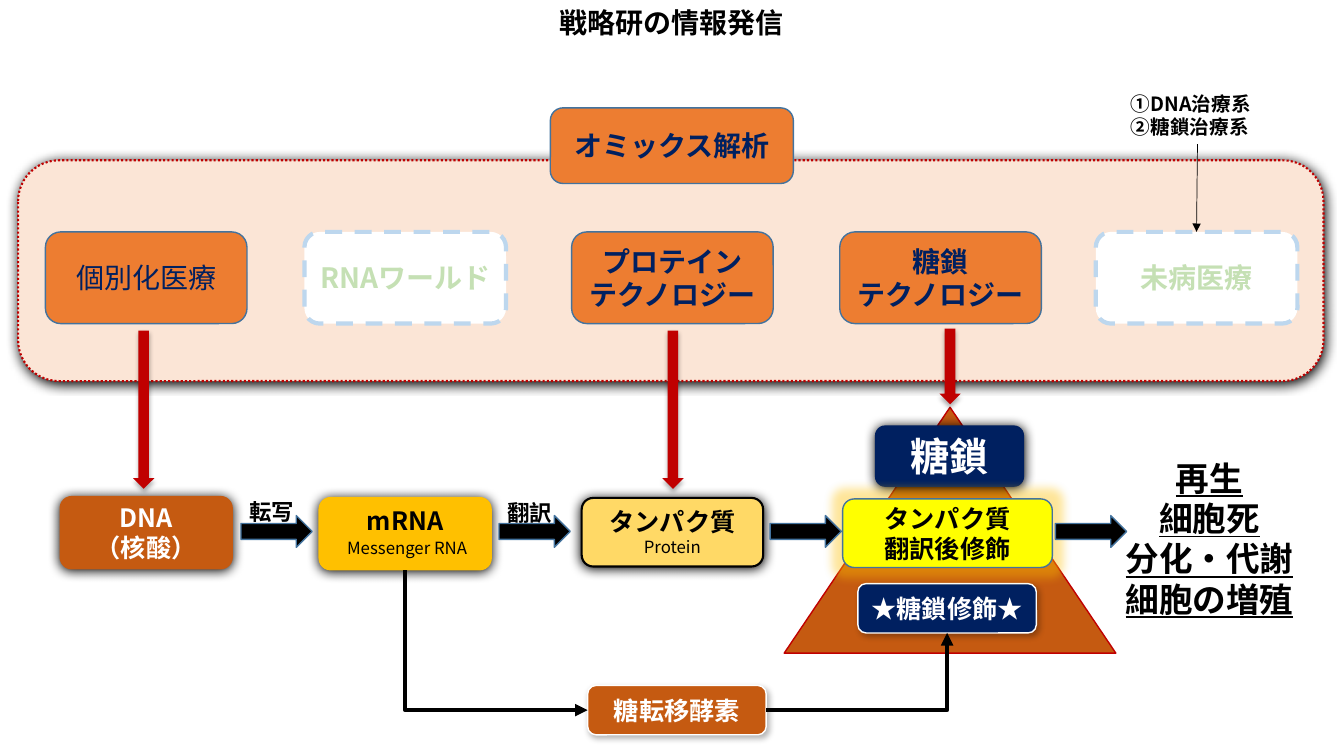
"""Draw the omics diagram that links medical technologies to the path from DNA to glycans."""
from dataclasses import dataclass
from typing import NamedTuple, Optional

from lxml.etree import SubElement
from pptx import Presentation
from pptx.dml.color import RGBColor
from pptx.enum.dml import MSO_LINE as Dash
from pptx.enum.shapes import MSO_CONNECTOR as Link, MSO_SHAPE as Form
from pptx.enum.text import MSO_ANCHOR as Anchor, MSO_AUTO_SIZE as AutoSize, PP_ALIGN as Align
from pptx.oxml.ns import qn
from pptx.util import Inches, Pt

COLORS = {
    "black": "000000", "white": "FFFFFF", "navy": "002060", "red": "C00000",
    "brown": "C55A11", "orange": "ED7D31", "peach": "FBE5D6", "gold": "FFC000",
    "sand": "FFD966", "yellow": "FFFF00", "steel": "43739E", "sky": "BDD7EE",
    "mint": "C5E0B4",
}
WIDTH, HEIGHT = Inches(13.33), Inches(7.5)
COLUMN, ROW = WIDTH / 100, HEIGHT / 100
NOTO = "Noto Sans CJK JP"
LEADING = 1.2


class Cell(NamedTuple):
    column: float
    row: float
    columns: float
    rows: float


class Stroke(NamedTuple):
    color: str
    width: float = 1
    dash: Optional[Dash] = None


class Effect(NamedTuple):
    tag: str
    color: str
    opacity: int
    sizes: dict


class Words(NamedTuple):
    text: str
    size: int
    color: str = "black"
    bold: bool = True
    underline: bool = False
    font: str = NOTO
    align: Align = Align.CENTER
    anchor: Anchor = Anchor.MIDDLE


@dataclass
class Box:
    cell: Cell
    fill: str
    stroke: Optional[Stroke] = None
    words: Optional[Words] = None
    effect: Optional[Effect] = None
    form: Form = Form.ROUNDED_RECTANGLE
    corner: Optional[float] = None


def shadow(blur: float, distance: float, degrees: int, opacity: int) -> Effect:
    sizes = {"blurRad": Pt(blur), "dist": Pt(distance), "dir": degrees * 60000}
    return Effect("a:outerShdw", "black", opacity, sizes)


HALO = shadow(8.5, 1, 90, 100)
SOFT = shadow(4.5, 2.6, 53, 30)
DROP = shadow(3.5, 2.2, 90, 32)
GLOW = Effect("a:glow", "gold", 40, {"rad": Pt(14)})
THIN = Stroke("steel")
RIM = Stroke("white")
DASHED = Stroke("sky", 3, Dash.DASH)


def technology(column: float, text: str, planned: bool = False, **style) -> Box:
    words = Words(text, 20, "mint" if planned else "navy", **style)
    return Box(Cell(column, 30.67, 15, 12.13), "white" if planned else "orange",
               DASHED if planned else THIN, words)


def step_arrow(column: float) -> Box:
    return Box(Cell(column, 68.2, 5.3, 4.2), "black", THIN, form=Form.RIGHT_ARROW)


def down_arrow(column: float, row: float, rows: float) -> Box:
    return Box(Cell(column, row, 1.58, rows), "red", effect=DROP, form=Form.DOWN_ARROW)


BOXES = {
    "panel": Box(Cell(1.35, 21.2, 97.13, 29.2), "peach", Stroke("red", 1.5, Dash.ROUND_DOT),
                 effect=HALO, corner=0.185),
    "pyramid": Box(Cell(58.35, 53.87, 24.68, 32.53), "brown", Stroke("red"),
                   form=Form.ISOSCELES_TRIANGLE),
    "dna": Box(Cell(4.43, 65.6, 12.9, 9.73), "brown", None,
               Words("DNA\n（核酸）", 18, "white"), HALO),
    "glycosylation": Box(Cell(63.83, 77.2, 13.28, 6.53), "navy", RIM,
                         Words("★糖鎖修飾★", 18, "white"), SOFT),
    "glycan": Box(Cell(65.1, 56.27, 11.1, 8.13), "navy", None, Words("糖鎖", 28, "white"), HALO),
    "protein": Box(Cell(43.28, 65.87, 13.5, 9.07), "sand", Stroke("black", 1.5),
                   Words("タンパク質", 18, anchor=Anchor.TOP), HALO),
    "modified": Box(Cell(62.7, 66, 15.6, 9.07), "yellow", THIN,
                    Words("タンパク質\n翻訳後修飾", 18), GLOW),
    "mrna": Box(Cell(23.7, 65.73, 12.9, 9.73), "gold", None,
                Words("mRNA", 18, anchor=Anchor.TOP), HALO),
    "to mrna": step_arrow(17.93),
    "to protein": step_arrow(37.13),
    "to modified": step_arrow(57.3),
    "to outcomes": step_arrow(78.53),
    "personal": technology(3.38, "個別化医療", bold=False, font="Calibri"),
    "protein technology": technology(42.53, "プロテイン\nテクノロジー"),
    "glycan technology": technology(62.48, "糖鎖\nテクノロジー"),
    "rna world": technology(22.65, "RNAワールド", planned=True),
    "prevention": technology(81.53, "未病医療", planned=True),
    "omics": Box(Cell(40.95, 14.27, 18.08, 10), "orange", THIN,
                 Words("オミックス解析", 20, "navy")),
    "enzyme": Box(Cell(43.73, 90.67, 13.28, 6.53), "brown", RIM,
                  Words("糖転移酵素", 18, "white"), SOFT),
    "personal to dna": down_arrow(9.9, 43.73, 20.93),
    "technology to protein": down_arrow(49.28, 43.73, 20.93),
    "technology to glycan": down_arrow(69.9, 43.47, 10),
}
LABELS = [
    (Cell(36.68, 0.13, 26.55, 5.87), Words("戦略研の情報発信", 20)),
    (Cell(24, 70.53, 12.6, 4), Words("Messenger RNA", 12, bold=False)),
    (Cell(43.73, 70.4, 12.6, 4), Words("Protein", 12, bold=False)),
    (Cell(17.55, 65.2, 5.33, 4.93), Words("転写", 16)),
    (Cell(36.75, 65.33, 5.33, 4.93), Words("翻訳", 16)),
    (Cell(82.35, 59.87, 15.3, 22.93),
     Words("再生\n細胞死\n分化・代謝\n細胞の増殖", 24, underline=True)),
    (Cell(83.4, 11.47, 13.2, 7.6), Words("①DNA治療系\n②糖鎖治療系", 14, align=Align.LEFT)),
]


def rgb(name: str) -> RGBColor:
    return RGBColor.from_string(COLORS[name])


def place(cell: Cell) -> list:
    return [round(share * unit) for share, unit in zip(cell, (COLUMN, ROW) * 2)]


def write(frame, words: Words) -> None:
    frame.word_wrap = True
    frame.vertical_anchor = words.anchor
    frame.text = words.text
    for para in frame.paragraphs:
        para.alignment = words.align
        para.line_spacing = Pt(words.size * LEADING)
        font = para.font
        font.name, font.size, font.bold = words.font, Pt(words.size), words.bold
        font.underline = words.underline
        font.color.rgb = rgb(words.color)
        defaults = para._p.pPr.find(qn("a:defRPr"))
        SubElement(defaults, qn("a:ea"), typeface=words.font)


def draw_box(page, box: Box):
    shape = page.shapes.add_shape(box.form, *place(box.cell))
    shape.shadow.inherit = False
    shape.fill.solid()
    shape.fill.fore_color.rgb = rgb(box.fill)
    if box.corner:
        shape.adjustments[0] = box.corner
    if box.stroke:
        shape.line.color.rgb = rgb(box.stroke.color)
        shape.line.width = Pt(box.stroke.width)
        if box.stroke.dash:
            shape.line.dash_style = box.stroke.dash
    else:
        shape.line.fill.background()
    if box.effect:
        effects = shape._element.spPr.find(qn("a:effectLst"))
        sizes = {name: str(int(size)) for name, size in box.effect.sizes.items()}
        effect = SubElement(effects, qn(box.effect.tag), sizes)
        tint = SubElement(effect, qn("a:srgbClr"), val=COLORS[box.effect.color])
        SubElement(tint, qn("a:alpha"), val=str(box.effect.opacity * 1000))
    if box.words:
        write(shape.text_frame, box.words)
    return shape


def draw_label(page, cell: Cell, words: Words) -> None:
    frame = page.shapes.add_textbox(*place(cell)).text_frame
    write(frame, words._replace(anchor=Anchor.TOP))
    frame.auto_size = AutoSize.SHAPE_TO_FIT_TEXT


def draw_arrow(page, kind: Link, width: float, end: tuple, start: Optional[tuple] = None):
    arrow = page.shapes.add_connector(kind, *place(Cell(89.1, 19.07, 89.1, 30.67)))
    if start:
        arrow.begin_connect(*start)
    arrow.end_connect(*end)
    arrow.line.color.rgb = rgb("black")
    arrow.line.width = Pt(width)
    SubElement(arrow.line._get_or_add_ln(), qn("a:tailEnd"), type="triangle")
    outline = arrow._element.spPr
    SubElement(outline, qn("a:effectLst"))
    if kind == Link.ELBOW:
        outline.find(qn("a:prstGeom")).set("prst", "bentConnector2")
    return arrow


def turn_down_first(arrow) -> None:
    left, top, width, height = arrow.left, arrow.top, arrow.width, arrow.height
    arrow.left, arrow.top = left + (width - height) // 2, top + (height - width) // 2
    arrow.width, arrow.height = height, width
    frame = arrow._element.spPr.find(qn("a:xfrm"))
    frame.set("rot", str(270 * 60000))
    frame.set("flipH", "1")


def main() -> None:
    deck = Presentation()
    deck.slide_width, deck.slide_height = WIDTH, HEIGHT
    page = deck.slides.add_slide(deck.slide_layouts[6])
    shapes = {name: draw_box(page, box) for name, box in BOXES.items()}
    for cell, words in LABELS:
        draw_label(page, cell, words)
    draw_arrow(page, Link.STRAIGHT, 0.5, (shapes["prevention"], 0))
    turn_down_first(draw_arrow(page, Link.ELBOW, 3, (shapes["enzyme"], 1), (shapes["mrna"], 2)))
    draw_arrow(page, Link.ELBOW, 3, (shapes["glycosylation"], 2), (shapes["enzyme"], 3))
    deck.save("out.pptx")


if __name__ == "__main__":
    main()
